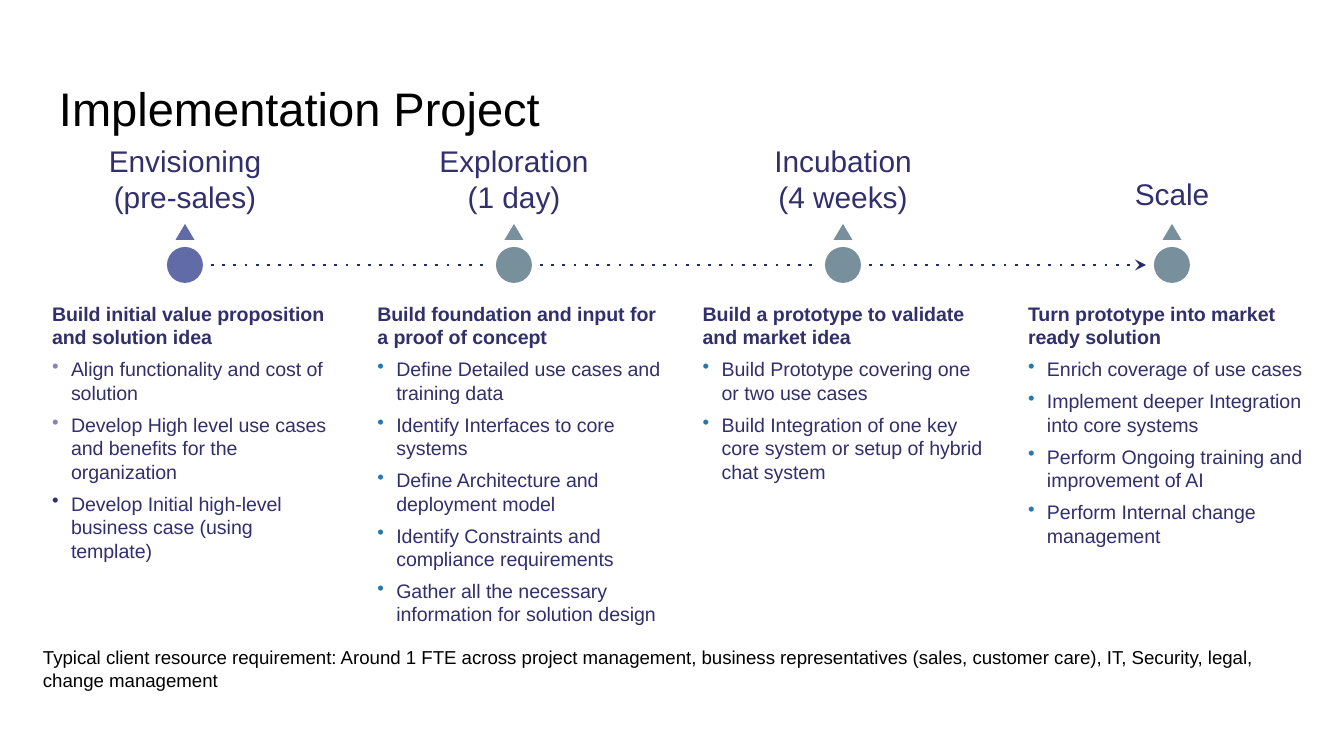
from lxml.etree import SubElement
from pptx import Presentation
from pptx.dml.color import RGBColor
from pptx.enum.shapes import MSO_CONNECTOR as Connector, MSO_SHAPE as Shape
from pptx.enum.text import MSO_ANCHOR as Anchor, MSO_AUTO_SIZE as AutoSize, PP_ALIGN as Align
from pptx.oxml.ns import qn
from pptx.util import Pt

# Content
TITLE = "Implementation Project"
FOOTNOTE = ("Typical client resource requirement: Around 1 FTE across project management, "
            "business representatives (sales, customer care), IT, Security, legal, "
            "change management")
STAGES = [
    {"heading": ["Envisioning", "(pre-sales)"], "heading_top": 138, "marker": "indigo",
     "goal": "Build initial value proposition and solution idea",
     "tasks": [("Align functionality and cost of solution", "lilac"),
               ("Develop High level use cases and benefits for the organization", "lilac"),
               ("Develop Initial high-level business case (using template)", "navy")]},
    {"heading": ["Exploration", "(1 day)"], "heading_top": 138, "marker": "slate",
     "goal": "Build foundation and input for a proof of concept",
     "tasks": [("Define Detailed use cases and training data", "blue"),
               ("Identify Interfaces to core systems", "blue"),
               ("Define Architecture and deployment model", "blue"),
               ("Identify Constraints and compliance requirements", "blue"),
               ("Gather all the necessary information for solution design", "blue")]},
    {"heading": ["Incubation", "(4 weeks)"], "heading_top": 138, "marker": "slate",
     "goal": "Build a prototype to validate and market idea",
     "tasks": [("Build Prototype covering one or two use cases", "blue"),
               ("Build Integration of one key core system or setup of hybrid chat system",
                "blue")]},
    {"heading": ["Scale"], "heading_top": 171, "marker": "slate",
     "goal": "Turn prototype into market ready solution",
     "tasks": [("Enrich coverage of use cases", "blue"),
               ("Implement deeper Integration into core systems", "blue"),
               ("Perform Ongoing training and improvement of AI", "blue"),
               ("Perform Internal change management", "blue")]},
]

THEME = {
    "font": "Arial",
    "colors": {"black": "000000", "navy": "312F6C", "line": "222D6C", "indigo": "616BA8",
               "slate": "78909C", "lilac": "8883AB", "blue": "2878AA"},
    "sizes": {"title": 25.2, "heading": 16, "body": 10.5, "footnote": 10},
}

# Layout in px
PX = 914400 / 134.4
FIRST_MARKER, MARKER_PITCH, AXIS_Y = 185, 329, 265
FIRST_COLUMN, LAST_COLUMN = 52, 1028
CIRCLE, TRIANGLE_WIDTH, TRIANGLE_HEIGHT = 36, 19, 16
LINE_GAP, BULLET_INDENT = 26, 19


def px(length):
    return round(length * PX)


def color(name):
    return RGBColor.from_string(THEME["colors"][name])


def style(para, size, tint, bold=False):
    para.font.name = THEME["font"]
    para.font.size = Pt(THEME["sizes"][size])
    para.font.color.rgb = color(tint)
    para.font.bold = bold


def set_frame(frame, horizontal, vertical, anchor=Anchor.TOP):
    frame.word_wrap = True
    frame.vertical_anchor = anchor
    frame.margin_left = frame.margin_right = px(horizontal)
    frame.margin_top = frame.margin_bottom = px(vertical)


def add_text(page, bounds, lines, horizontal, vertical):
    box = page.shapes.add_textbox(*map(px, bounds))
    frame = box.text_frame
    set_frame(frame, horizontal, vertical)
    frame.text = "\n".join(lines)
    return frame


def add_bullet(para, tint):
    para.space_before = Pt(4.5)
    props = para._p.get_or_add_pPr()
    props.set("marL", str(px(BULLET_INDENT)))
    props.set("indent", str(-px(BULLET_INDENT)))
    bullet_color = SubElement(props, qn("a:buClr"))
    SubElement(bullet_color, qn("a:srgbClr"), val=THEME["colors"][tint])
    SubElement(props, qn("a:buChar"), char="•")


def add_marker(page, kind, bounds, tint):
    marker = page.shapes.add_shape(kind, *map(px, bounds))
    marker.shadow.inherit = False
    marker.fill.solid()
    marker.fill.fore_color.rgb = color(tint)
    marker.line.fill.background()


def add_dotted_line(page, start, end, arrow):
    link = page.shapes.add_connector(
        Connector.STRAIGHT, px(start), px(AXIS_Y), px(end), px(AXIS_Y))
    link.line.width = Pt(1.5)
    link.line.color.rgb = color("line")
    outline = link.line._get_or_add_ln()
    SubElement(outline, qn("a:prstDash"), val="dot")
    if arrow:
        SubElement(outline, qn("a:tailEnd"), type="stealth")
    SubElement(link._element.spPr, qn("a:effectLst"))


def add_stage(page, index, stage):
    center = FIRST_MARKER + index * MARKER_PITCH

    # Heading
    heading = stage["heading"]
    height = 47 + 35 * (len(heading) - 1)
    frame = add_text(page, (center - 104, stage["heading_top"], 208, height), heading, 10, 5)
    for para in frame.paragraphs:
        para.alignment = Align.CENTER
        style(para, "heading", "navy")

    # Timeline marker
    add_marker(page, Shape.ISOSCELES_TRIANGLE,
               (center - TRIANGLE_WIDTH / 2, 224, TRIANGLE_WIDTH, TRIANGLE_HEIGHT),
               stage["marker"])
    add_marker(page, Shape.OVAL,
               (center - CIRCLE / 2, AXIS_Y - CIRCLE / 2, CIRCLE, CIRCLE), stage["marker"])

    # Goal and tasks
    left = FIRST_COLUMN + (LAST_COLUMN - FIRST_COLUMN) * index / (len(STAGES) - 1)
    lines = [stage["goal"]] + [task for task, _ in stage["tasks"]]
    goal, *tasks = add_text(page, (left, 302, 286, 376), lines, 0, 0).paragraphs
    style(goal, "body", "navy", bold=True)
    for para, (_, tint) in zip(tasks, stage["tasks"]):
        add_bullet(para, tint)
        style(para, "body", "navy")


def main():
    deck = Presentation()
    deck.slide_width, deck.slide_height = px(1344), px(756)
    page = deck.slides.add_slide(deck.slide_layouts[5])

    # Title
    title = page.shapes.title
    title.left, title.top, title.width, title.height = map(px, (46, 66, 1252, 84))
    title.text_frame.text = TITLE
    set_frame(title.text_frame, 13, 13, Anchor.MIDDLE)
    title.text_frame.auto_size = AutoSize.NONE
    para = title.text_frame.paragraphs[0]
    para.alignment = Align.LEFT
    style(para, "title", "black")

    # Stages and the lines between them
    for index, stage in enumerate(STAGES):
        add_stage(page, index, stage)
    for index in range(len(STAGES) - 1):
        center = FIRST_MARKER + index * MARKER_PITCH
        add_dotted_line(page, center + LINE_GAP, center + MARKER_PITCH - LINE_GAP,
                        arrow=index == len(STAGES) - 2)

    # Footnote
    frame = add_text(page, (30, 639, 1277, 59), [FOOTNOTE], 13, 7)
    frame.auto_size = AutoSize.SHAPE_TO_FIT_TEXT
    style(frame.paragraphs[0], "footnote", "black")

    deck.save("out.pptx")


if __name__ == "__main__":
    main()
